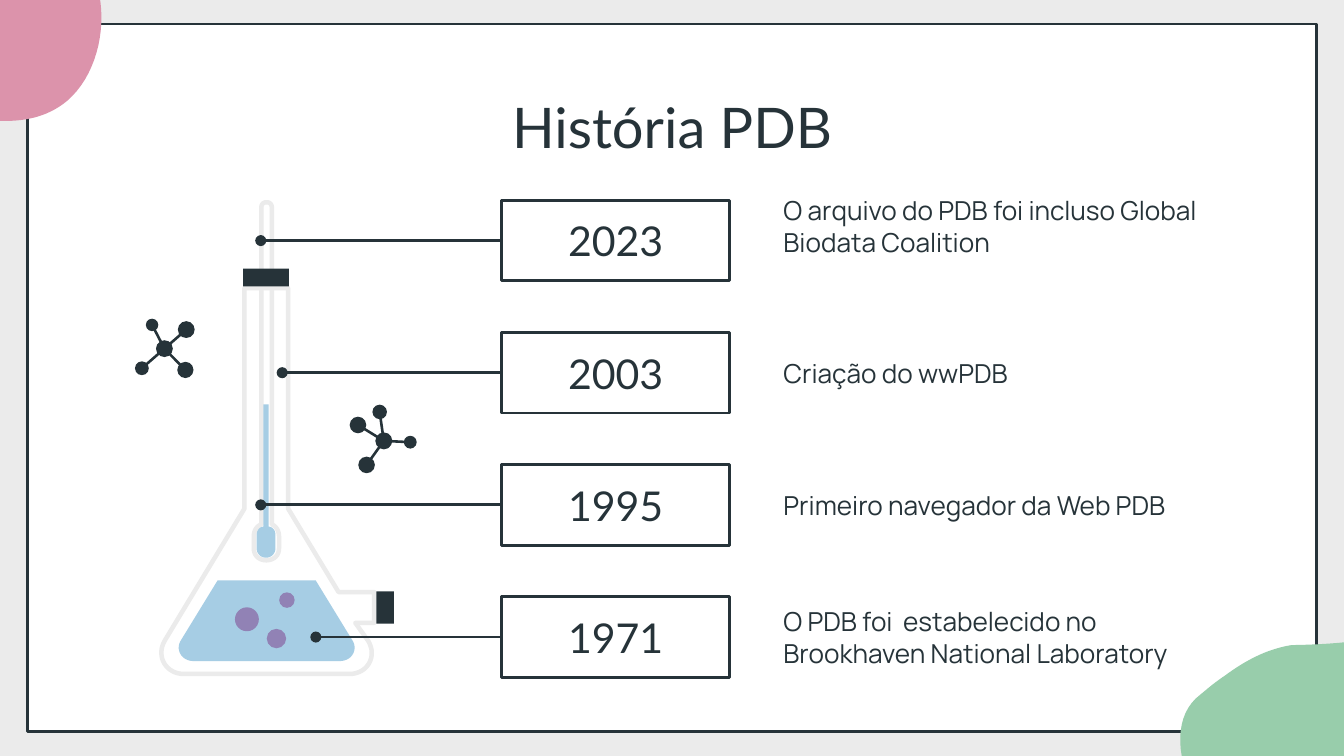
from dataclasses import dataclass

from lxml import etree
from pptx import Presentation
from pptx import util as u
from pptx.dml.color import RGBColor
from pptx.enum import shapes, text
from pptx.oxml import ns


@dataclass(frozen=True)
class Theme:
    ink: str = "263339"
    paper: str = "FFFFFF"
    backdrop: str = "EBEBEB"
    pink: str = "DC93AB"
    green: str = "98CDAB"
    liquid: str = "A6CDE4"
    bubble: str = "9182B5"
    head_font: str = "Lato"
    body_font: str = "Manrope"
    title_size: float = 30
    year_size: float = 22
    body_size: float = 14
    rule: float = 1.5
    bond: float = 1.4
    glass: float = 2.4


def flatten(outline, steps=16):
    """Turn points and cubic curves (six numbers) into a list of points."""
    points = [outline[0]]
    for part in outline[1:]:
        if len(part) == 2:
            points.append(part)
            continue
        x0, y0 = points[-1]
        x1, y1, x2, y2, x3, y3 = part
        for step in range(1, steps + 1):
            t = step / steps
            a, b, c, d = (1 - t) ** 3, 3 * t * (1 - t) ** 2, 3 * t * t * (1 - t), t ** 3
            points.append((a * x0 + b * x1 + c * x2 + d * x3,
                           a * y0 + b * y1 + c * y2 + d * y3))
    return [(u.Pt(x), u.Pt(y)) for x, y in points]


class Painter:
    def __init__(self, slide, theme):
        self.slide, self.theme = slide, theme
        self.shapes = slide.shapes

    def style(self, shape, fill=None, line=None, width=None):
        shape.shadow.inherit = False
        if fill:
            shape.fill.solid()
            shape.fill.fore_color.rgb = RGBColor.from_string(fill)
        else:
            shape.fill.background()
        if line:
            shape.line.color.rgb = RGBColor.from_string(line)
            shape.line.width = u.Pt(width)
        else:
            shape.line.fill.background()
        return shape

    def rect(self, x, y, w, h, **look):
        shape = self.shapes.add_shape(shapes.MSO_SHAPE.RECTANGLE,
                                      u.Pt(x), u.Pt(y), u.Pt(w), u.Pt(h))
        return self.style(shape, **look)

    def dot(self, cx, cy, size, fill):
        shape = self.shapes.add_shape(shapes.MSO_SHAPE.OVAL, u.Pt(cx - size / 2),
                                      u.Pt(cy - size / 2), u.Pt(size), u.Pt(size))
        return self.style(shape, fill=fill)

    def freeform(self, outline, **look):
        points = flatten(outline)
        builder = self.shapes.build_freeform(*points[0], scale=1.0)
        builder.add_line_segments(points[1:], close=True)
        return self.style(builder.convert_to_shape(), **look)

    def line(self, x1, y1, x2, y2, width, oval_end=False):
        line = self.shapes.add_connector(shapes.MSO_CONNECTOR.STRAIGHT,
                                         u.Pt(x1), u.Pt(y1), u.Pt(x2), u.Pt(y2))
        line.line.color.rgb = RGBColor.from_string(self.theme.ink)
        line.line.width = u.Pt(width)
        properties = line._element.spPr
        if oval_end:
            etree.SubElement(properties.find(ns.qn("a:ln")), ns.qn("a:tailEnd"), type="oval")
        etree.SubElement(properties, ns.qn("a:effectLst"))
        return line

    def label(self, shape, words, font, size, align, anchor, bottom=7.2):
        frame = shape.text_frame
        frame.word_wrap = True
        frame.auto_size = text.MSO_AUTO_SIZE.NONE
        frame.vertical_anchor = anchor
        frame.margin_left = frame.margin_right = frame.margin_top = u.Pt(7.2)
        frame.margin_bottom = u.Pt(bottom)
        para = frame.paragraphs[0]
        para.alignment = align
        span = para.add_run()
        span.text = words
        span.font.name = font
        span.font.size = u.Pt(size)
        span.font.color.rgb = RGBColor.from_string(self.theme.ink)

    def title(self, words, x, y, w, h):
        box = self.shapes.title
        box.left, box.top, box.width, box.height = u.Pt(x), u.Pt(y), u.Pt(w), u.Pt(h)
        self.label(box, words, self.theme.head_font, self.theme.title_size,
                   text.PP_ALIGN.CENTER, text.MSO_ANCHOR.TOP)
        # Bring the title in front of the frame
        box._element.getparent().append(box._element)

    def event(self, y, year, words, reach, bottom):
        theme, height = self.theme, 43.2
        box = self.rect(268.6, y, 122.4, height, line=theme.ink, width=theme.rule)
        self.label(box, year, theme.head_font, theme.year_size,
                   text.PP_ALIGN.CENTER, text.MSO_ANCHOR.MIDDLE)
        note = self.shapes.add_textbox(u.Pt(412.6), u.Pt(y), u.Pt(258.5), u.Pt(height))
        self.label(note, words, theme.body_font, theme.body_size,
                   text.PP_ALIGN.LEFT, text.MSO_ANCHOR.MIDDLE, bottom)
        middle = y + height / 2
        pointer = self.line(268.6, middle, reach, middle, theme.rule, oval_end=True)
        pointer.begin_connect(box, 1)

    def molecule(self, hub, atoms):
        for x, y, _ in atoms:
            self.line(hub[0], hub[1], x, y, self.theme.bond)
        for atom in [hub, *atoms]:
            self.dot(*atom, self.theme.ink)


PINK_BLOB = [(-10.8, -42.5), (-52.6, -42.5, -91.4, -13.7, -52.6, 40.3),
             (-39.6, 55.4, -18, 64.8, 2.9, 64.8), (15.1, 64.8, 26.6, 61.9, 36, 54),
             (51.1, 41, 56.9, 17.3, 53.3, -2.2), (46.1, -29.5, 17.3, -42.5, -10.8, -42.5)]
GREEN_BLOB = [(655.9, 362.2), (651.6, 365, 647.3, 368.6, 643, 372.2),
              (628.6, 383, 630.7, 404.6, 637.9, 419.8),
              (668.2, 463, 736.6, 455.8, 776.2, 428.4),
              (778.3, 427.7, 779.8, 426.9, 781.2, 425.5),
              (812.9, 403.2, 871.9, 314.6, 836.6, 290.2),
              (828, 284.4, 817.2, 287.3, 808.6, 292.3),
              (781.9, 310.3, 771.8, 322.6, 759.6, 331.2),
              (746.6, 340.6, 731.5, 344.9, 691.9, 345.6),
              (678.2, 347.8, 666.7, 354.2, 655.9, 362.2)]
FLASK = [(131, 154.4), (131, 272.5), (88.2, 343.4), (83.5, 351.7, 88.9, 361.1, 98.6, 361.1),
         (187.2, 361.1), (196.9, 361.1, 202.3, 351.7, 197.3, 343.4), (190.4, 333.7),
         (200.5, 333.7), (200.5, 317.2), (181.4, 317.2), (154.4, 272.5), (154.4, 154.4)]
THERMOMETER = [(140, 111.6), (140, 109.2, 141.3, 108.4, 142.8, 108.4),
               (144.4, 108.4, 145.7, 109.2, 145.7, 111.6), (145.7, 281),
               (148, 282, 149.5, 284.5, 149.5, 287.3), (149.5, 293.8),
               (149.5, 297.8, 146.5, 300.2, 142.7, 300.2),
               (138.9, 300.2, 136, 297.8, 136, 293.8), (136, 287.3),
               (136, 284.5, 137.4, 282, 140, 281)]
COLUMN = [(144, 216.7), (144, 282.2), (146.2, 282.2, 147.6, 284.4, 147.6, 286.6),
          (147.6, 293.8), (147.6, 296.6, 145.4, 298.8, 142.6, 298.8),
          (139.7, 298.8, 137.5, 296.6, 137.5, 293.8), (137.5, 286.6),
          (137.5, 284.4, 139, 282.2, 141.1, 282.2), (141.1, 216.7)]
POOL = [(169.2, 311), (188.6, 342.7), (192.2, 347.8, 188.6, 354.2, 182.2, 354.2),
        (103.7, 354.2), (97.2, 354.2, 93.6, 347.8, 97.2, 342.7), (116.6, 311)]
BUBBLES = [(153.7, 321.5, 8.3), (132.3, 331.8, 12.8), (148.1, 342.1, 10.4)]
MOLECULES = [
    ((205.6, 236.2, 9.1), [(191.8, 227.7, 8.9), (203.4, 220.7, 7.8),
                           (196.4, 249.1, 8.9), (219.8, 236.9, 6.9)]),
    ((88.1, 186.8, 9), [(99.8, 176.6, 9), (81.5, 174.1, 6.7),
                        (99.3, 198.2, 8.7), (76, 197.3, 7.4)]),
]
# Year, description, end of the pointer, bottom inset of the description
EVENTS = [
    ("2023", "O arquivo do PDB foi incluso Global Biodata Coalition", 139.7, 22.6),
    ("2003", "Criação do wwPDB", 151.2, 7.2),
    ("1995", "Primeiro navegador da Web PDB", 139.7, 7.2),
    ("1971", "O PDB foi  estabelecido no Brookhaven National Laboratory", 169.2, 7.2),
]


def main():
    theme = Theme()
    deck = Presentation()
    deck.slide_width, deck.slide_height = u.Pt(720), u.Pt(405)
    page = deck.slides.add_slide(deck.slide_layouts[5])
    page.background.fill.solid()
    page.background.fill.fore_color.rgb = RGBColor.from_string(theme.backdrop)
    painter = Painter(page, theme)

    # Frame, corner blobs and title
    painter.rect(14.6, 12.9, 690.6, 378.9, fill=theme.paper, line=theme.ink, width=theme.rule)
    painter.freeform(PINK_BLOB, fill=theme.pink)
    painter.freeform(GREEN_BLOB, fill=theme.green)
    painter.title("História PDB", 56.2, 42.5, 607.7, 50.4)

    # Flask with thermometer
    for glass in (FLASK, THERMOMETER):
        painter.freeform(glass, line=theme.backdrop, width=theme.glass)
    for liquid in (COLUMN, POOL):
        painter.freeform(liquid, fill=theme.liquid)
    for bubble in BUBBLES:
        painter.dot(*bubble, theme.bubble)
    painter.rect(201.6, 316.8, 9.4, 17.3, fill=theme.ink)
    painter.rect(130.3, 144, 24.5, 9.4, fill=theme.ink)

    # Molecules
    for hub, atoms in MOLECULES:
        painter.molecule(hub, atoms)

    # Timeline
    for row, (year, words, reach, bottom) in enumerate(EVENTS):
        painter.event(107.3 + 70.8 * row, year, words, reach, bottom)

    deck.save("out.pptx")


if __name__ == "__main__":
    main()
